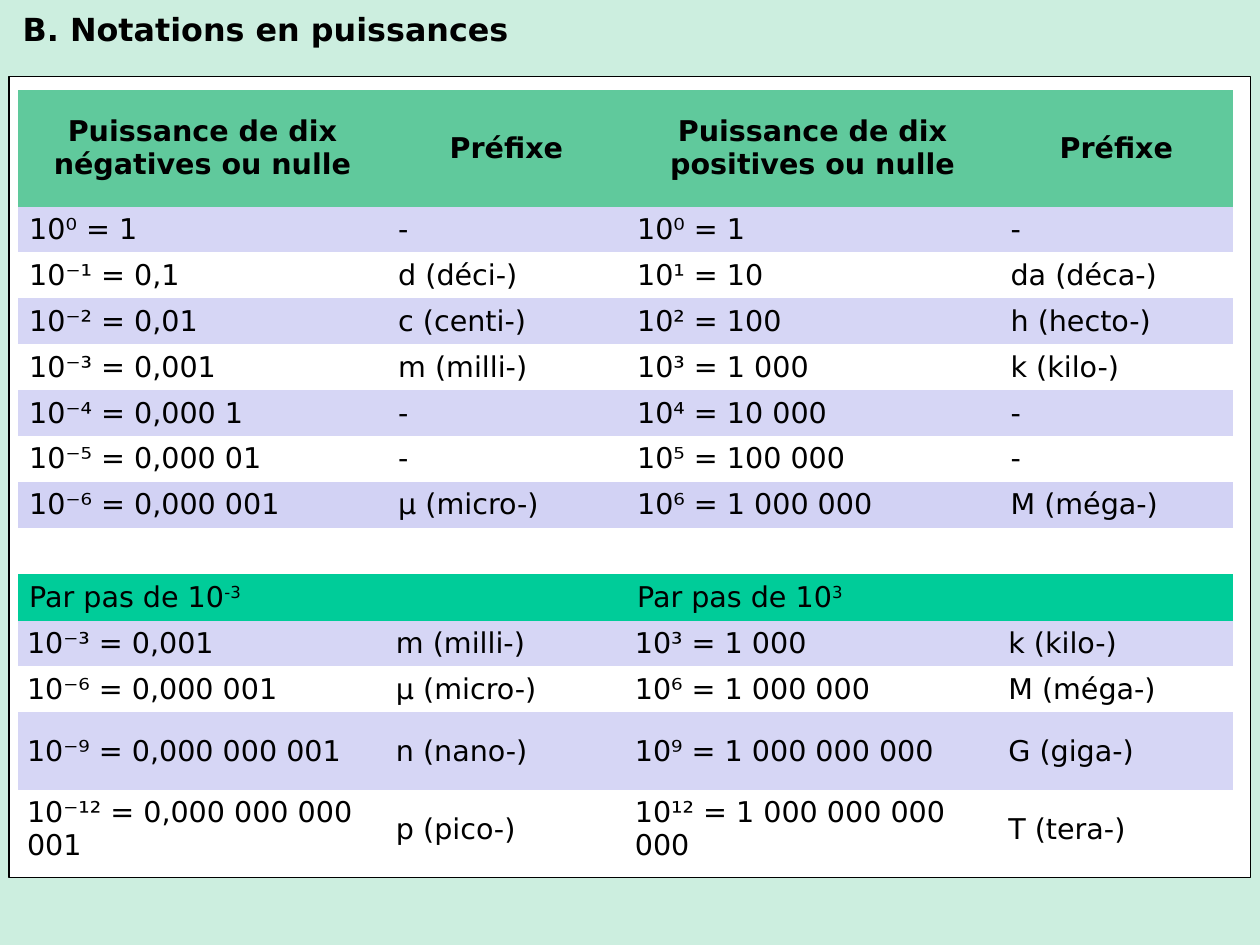
import dataclasses
import typing

import pptx
import pptx.dml.color
import pptx.enum.shapes
import pptx.enum.text
import pptx.oxml.ns
import pptx.slide
import pptx.table
import pptx.text.text
import pptx.util

Cm = pptx.util.Cm
ALIGN = pptx.enum.text.PP_ALIGN
ANCHOR = pptx.enum.text.MSO_ANCHOR


@dataclasses.dataclass(frozen=True)
class Theme:
    font: str = "DejaVu Sans"
    title_size: float = 20
    table_size: float = 18
    text: str = "000000"
    background: str = "CCEEDF"
    panel: str = "FFFFFF"
    header: str = "60C99C"
    step: str = "00CC99"
    band: str = "D6D6F5"
    last_band: str = "D2D2F4"
    plain_table: str = "{2D5ABB26-0587-4C30-8999-92F81FD0307C}"


THEME = Theme()


@dataclasses.dataclass(frozen=True)
class PowerRow:
    cells: tuple[str, ...]
    fill: typing.Optional[str] = None
    height: float = 1.02
    side_margin: float = 0.25
    header: bool = False


COLUMN_WIDTHS = (8.2, 5.31, 8.3, 5.2)
HEADER = PowerRow(
    ("Puissance de dix\nnégatives ou nulle", "Préfixe",
     "Puissance de dix\npositives ou nulle", "Préfixe"),
    THEME.header, height=2.59, header=True)
STEP = PowerRow(("Par pas de 10^-3", "", "Par pas de 10^3", ""), THEME.step)
SINGLE_POWERS = (
    ("10⁰ = 1", "-", "10⁰ = 1", "-"),
    ("10⁻¹ = 0,1", "d (déci-)", "10¹ = 10", "da (déca-)"),
    ("10⁻² = 0,01", "c (centi-)", "10² = 100", "h (hecto-)"),
    ("10⁻³ = 0,001", "m (milli-)", "10³ = 1 000", "k (kilo-)"),
    ("10⁻⁴ = 0,000 1", "-", "10⁴ = 10 000", "-"),
    ("10⁻⁵ = 0,000 01", "-", "10⁵ = 100 000", "-"),
    ("10⁻⁶ = 0,000 001", "µ (micro-)", "10⁶ = 1 000 000", "M (méga-)"),
)
THOUSAND_POWERS = (
    SINGLE_POWERS[3],
    SINGLE_POWERS[6],
    ("10⁻⁹ = 0,000 000 001", "n (nano-)", "10⁹ = 1 000 000 000", "G (giga-)"),
    ("10⁻¹² = 0,000 000 000 001", "p (pico-)",
     "10¹² = 1 000 000 000 000", "T (tera-)"),
)


def power_rows() -> list[PowerRow]:
    rows = [HEADER]
    for index, cells in enumerate(SINGLE_POWERS):
        band = THEME.last_band if index == len(SINGLE_POWERS) - 1 else THEME.band
        rows.append(PowerRow(cells, None if index % 2 else band))
    rows += [PowerRow(("",) * len(COLUMN_WIDTHS)), STEP]
    for index, cells in enumerate(THOUSAND_POWERS):
        rows.append(PowerRow(cells, None if index % 2 else THEME.band,
                             height=1.02 if index < 2 else 1.73, side_margin=0.2))
    return rows


def color(value: str) -> pptx.dml.color.RGBColor:
    return pptx.dml.color.RGBColor.from_string(value)


def add_run(paragraph: pptx.text.text._Paragraph, text: str, size: float,
            bold: bool = False, superscript: bool = False) -> None:
    run = paragraph.add_run()
    run.text = text
    run.font.name = THEME.font
    run.font.size = pptx.util.Pt(size)
    run.font.bold = bold
    run.font.color.rgb = color(THEME.text)
    if superscript:
        run.font._element.set("baseline", "30000")


def fill_cell(cell: pptx.table._Cell, text: str, row: PowerRow) -> None:
    cell.vertical_anchor = ANCHOR.MIDDLE
    cell.margin_left = cell.margin_right = Cm(row.side_margin)
    if row.fill:
        cell.fill.solid()
        cell.fill.fore_color.rgb = color(row.fill)
    else:
        cell.fill.background()
    if not text:
        return
    paragraph = cell.text_frame.paragraphs[0]
    paragraph.alignment = ALIGN.CENTER if row.header else ALIGN.LEFT
    for index, line in enumerate(text.split("\n")):
        if index:
            paragraph.add_line_break()
        base, _, exponent = line.partition("^")
        add_run(paragraph, base, THEME.table_size, row.header)
        if exponent:
            add_run(paragraph, exponent, THEME.table_size, superscript=True)


def add_title(slide: pptx.slide.Slide) -> None:
    title = slide.shapes.title
    title.left, title.top, title.width, title.height = (
        Cm(0.25), Cm(0.1), Cm(12), Cm(1.12))
    frame = title.text_frame
    frame.word_wrap = True
    frame.auto_size = pptx.enum.text.MSO_AUTO_SIZE.NONE
    frame.vertical_anchor = ANCHOR.TOP
    frame.paragraphs[0].alignment = ALIGN.LEFT
    add_run(frame.paragraphs[0], "B. Notations en puissances", THEME.title_size, True)


def add_panel(slide: pptx.slide.Slide) -> None:
    panel = slide.shapes.add_shape(pptx.enum.shapes.MSO_SHAPE.RECTANGLE,
                                   Cm(0.2), Cm(1.7), Cm(27.6), Cm(17.8))
    panel.shadow.inherit = False
    panel.fill.solid()
    panel.fill.fore_color.rgb = color(THEME.panel)
    panel.line.color.rgb = color(THEME.text)
    panel.line.width = pptx.util.Pt(0.75)


def add_power_table(slide: pptx.slide.Slide) -> None:
    rows = power_rows()
    graphic_frame = slide.shapes.add_table(
        len(rows), len(COLUMN_WIDTHS), Cm(0.4), Cm(2),
        Cm(sum(COLUMN_WIDTHS)), Cm(sum(row.height for row in rows)))
    table = graphic_frame.table
    table.first_row = table.horz_banding = False
    for style in graphic_frame.element.iter(pptx.oxml.ns.qn("a:tableStyleId")):
        style.text = THEME.plain_table
    for column, width in zip(table.columns, COLUMN_WIDTHS):
        column.width = Cm(width)
    for table_row, row in zip(table.rows, rows):
        table_row.height = Cm(row.height)
        for cell, text in zip(table_row.cells, row.cells):
            fill_cell(cell, text, row)


def main() -> None:
    presentation = pptx.Presentation()
    presentation.slide_width = Cm(28)
    presentation.slide_height = Cm(21)
    slide = presentation.slides.add_slide(presentation.slide_layouts[5])
    slide.background.fill.solid()
    slide.background.fill.fore_color.rgb = color(THEME.background)
    add_title(slide)
    add_panel(slide)
    add_power_table(slide)
    presentation.save("out.pptx")


if __name__ == "__main__":
    main()
